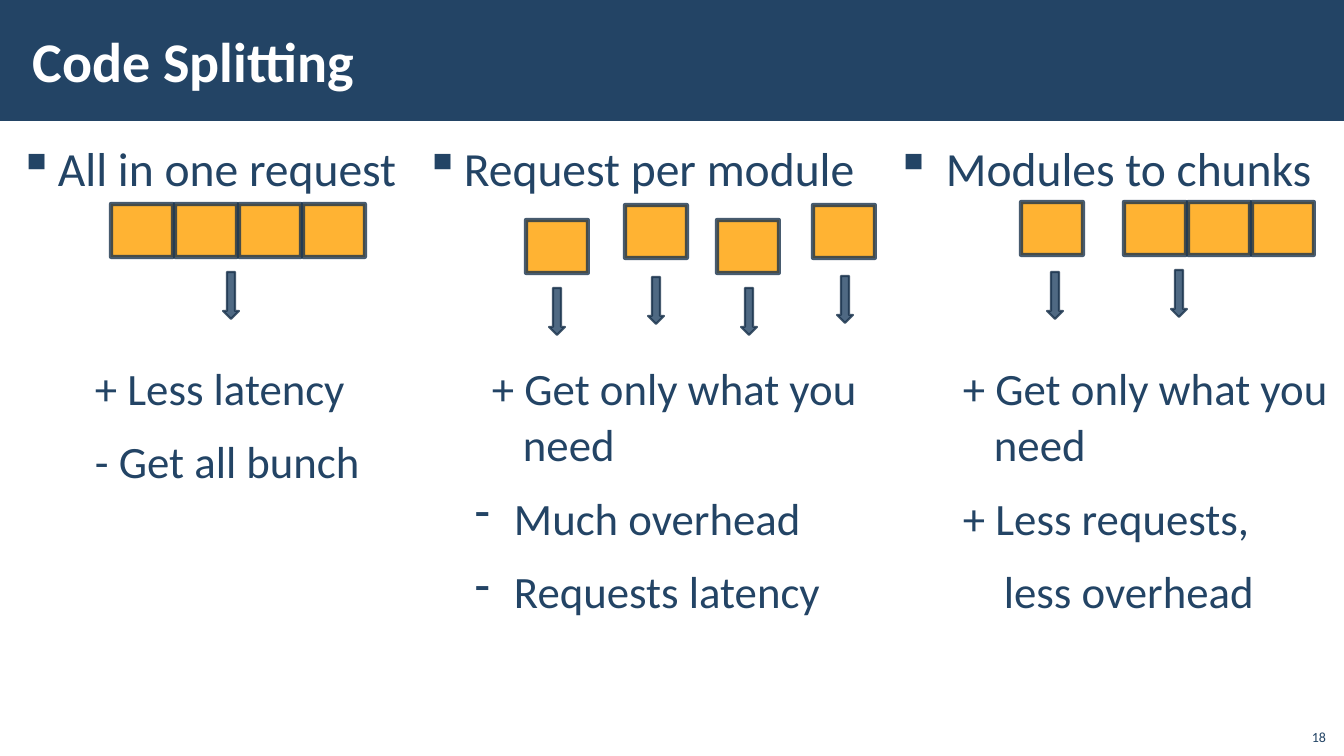
import pptx
import pptx.util
import pptx.dml.color
import pptx.enum.shapes
import pptx.enum.text
import pptx.oxml.ns
from lxml import etree

EMU_PER_PX = 914400 / 100.8
COLORS = {"navy": "234465", "outline": "1A334C", "module": "FFA000", "white": "FFFFFF"}
FONT = "Calibri"
OPACITY = 80
SLIDE_WIDTH, SLIDE_HEIGHT = 1344, 756
HEADING_TOP, HEADING_HEIGHT = 132, 70
POINTS_TOP, POINTS_HEIGHT = 354, 310
MODULE_WIDTH, MODULE_HEIGHT, MODULE_STEP = 62, 53, 64
ARROW_WIDTH, ARROW_HEIGHT = 16, 47
INSETS = (12, 4, 0, 4)

TITLE = "Code Splitting"
PAGE_NUMBER = "18"

# Each point: text, left margin, first-line indent, bullet.
COLUMNS = [
    {
        "left": 7, "width": 405,
        "heading": "All in one request", "heading_indent": 39,
        "points": [("+ Less latency", 76, 0, None), ("- Get all bunch", 76, 0, None)],
        "modules": [(111 + MODULE_STEP * i, 204) for i in range(4)],
        "arrows": [(223, 272)],
    },
    {
        "left": 413, "width": 470,
        "heading": "Request per module", "heading_indent": 39,
        "points": [
            ("+ Get only what you\vneed", 98, -31, None),
            ("Much overhead", 89, -39, "-"),
            ("Requests latency", 89, -39, "-"),
        ],
        "modules": [(526, 220), (625, 205), (717, 220), (813, 205)],
        "arrows": [(549, 288), (648, 277), (741, 288), (837, 276)],
    },
    {
        "left": 884, "width": 460,
        "heading": "Modules to chunks", "heading_indent": 50,
        "points": [
            ("+ Get only what you\vneed", 98, -31, None),
            ("+ Less requests,", 67, 0, None),
            ("less overhead", 108, 0, None),
        ],
        "modules": [(1021, 202)] + [(1124 + MODULE_STEP * i, 202) for i in range(3)],
        "arrows": [(1047, 272), (1171, 270)],
    },
]


def px(length):
    return pptx.util.Emu(round(length * EMU_PER_PX))


def rgb(name):
    return pptx.dml.color.RGBColor.from_string(COLORS[name])


def set_opacity(shape):
    """Make the fill and the line of a shape partly transparent."""
    for color in shape._element.spPr.iter(pptx.oxml.ns.qn("a:srgbClr")):
        etree.SubElement(color, pptx.oxml.ns.qn("a:alpha"), val=str(OPACITY * 1000))


def add_block(slide, kind, left, top, width, height, color, line_width=None):
    """Add a solid shape; with a line width, it is outlined and see-through."""
    shape = slide.shapes.add_shape(kind, px(left), px(top), px(width), px(height))
    shape.shadow.inherit = False
    shape.fill.solid()
    shape.fill.fore_color.rgb = rgb(color)
    if line_width is None:
        shape.line.fill.background()
    else:
        shape.line.width = pptx.util.Pt(line_width)
        shape.line.color.rgb = rgb("outline")
        set_opacity(shape)


def add_text_frame(slide, left, top, width, height, insets=INSETS):
    frame = slide.shapes.add_textbox(px(left), px(top), px(width), px(height)).text_frame
    frame.word_wrap = True
    frame.margin_left, frame.margin_top, frame.margin_right, frame.margin_bottom = map(px, insets)
    return frame


def write(paragraph, text, size, color="navy", bold=False):
    paragraph.text = text
    paragraph.font.name = FONT
    paragraph.font.size = pptx.util.Pt(size)
    paragraph.font.color.rgb = rgb(color)
    paragraph.font.bold = bold


def write_point(paragraph, text, size, margin, indent, bullet):
    write(paragraph, text, size)
    paragraph.line_spacing = 1.05
    paragraph.space_before = paragraph.space_after = pptx.util.Pt(6)
    properties = paragraph._p.get_or_add_pPr()
    properties.set("marL", str(px(margin)))
    properties.set("indent", str(px(indent)))
    if bullet:
        mark = etree.Element(pptx.oxml.ns.qn("a:buChar"), char=bullet)
        properties.find(pptx.oxml.ns.qn("a:defRPr")).addprevious(mark)


def add_column(slide, column):
    left, width = column["left"], column["width"]
    heading = add_text_frame(slide, left, HEADING_TOP, width, HEADING_HEIGHT)
    indent = column["heading_indent"]
    write_point(heading.paragraphs[0], column["heading"], 34, indent, -indent, "▪")

    points = add_text_frame(slide, left, POINTS_TOP, width, POINTS_HEIGHT)
    for index, (text, margin, indent, bullet) in enumerate(column["points"]):
        paragraph = points.add_paragraph() if index else points.paragraphs[0]
        write_point(paragraph, text, 32, margin, indent, bullet)

    shapes = pptx.enum.shapes.MSO_SHAPE
    for x, y in column["modules"]:
        add_block(slide, shapes.RECTANGLE, x, y, MODULE_WIDTH, MODULE_HEIGHT, "module", 3)
    for x, y in column["arrows"]:
        add_block(slide, shapes.DOWN_ARROW, x, y, ARROW_WIDTH, ARROW_HEIGHT, "navy", 1.5)


def main():
    presentation = pptx.Presentation()
    presentation.slide_width, presentation.slide_height = px(SLIDE_WIDTH), px(SLIDE_HEIGHT)
    slide = presentation.slides.add_slide(presentation.slide_layouts[6])

    add_block(slide, pptx.enum.shapes.MSO_SHAPE.RECTANGLE, 0, 0, SLIDE_WIDTH, 121, "navy")
    title = add_text_frame(slide, 21, 11, 1071, 98)
    title.vertical_anchor = pptx.enum.text.MSO_ANCHOR.MIDDLE
    write(title.paragraphs[0], TITLE, 40, "white", bold=True)

    for column in COLUMNS:
        add_column(slide, column)

    number = add_text_frame(slide, 1295, 718, 40, 32, insets=(0, 5, 9, 5))
    number.vertical_anchor = pptx.enum.text.MSO_ANCHOR.BOTTOM
    write(number.paragraphs[0], PAGE_NUMBER, 10)
    number.paragraphs[0].alignment = pptx.enum.text.PP_ALIGN.RIGHT

    presentation.save("out.pptx")


if __name__ == "__main__":
    main()
